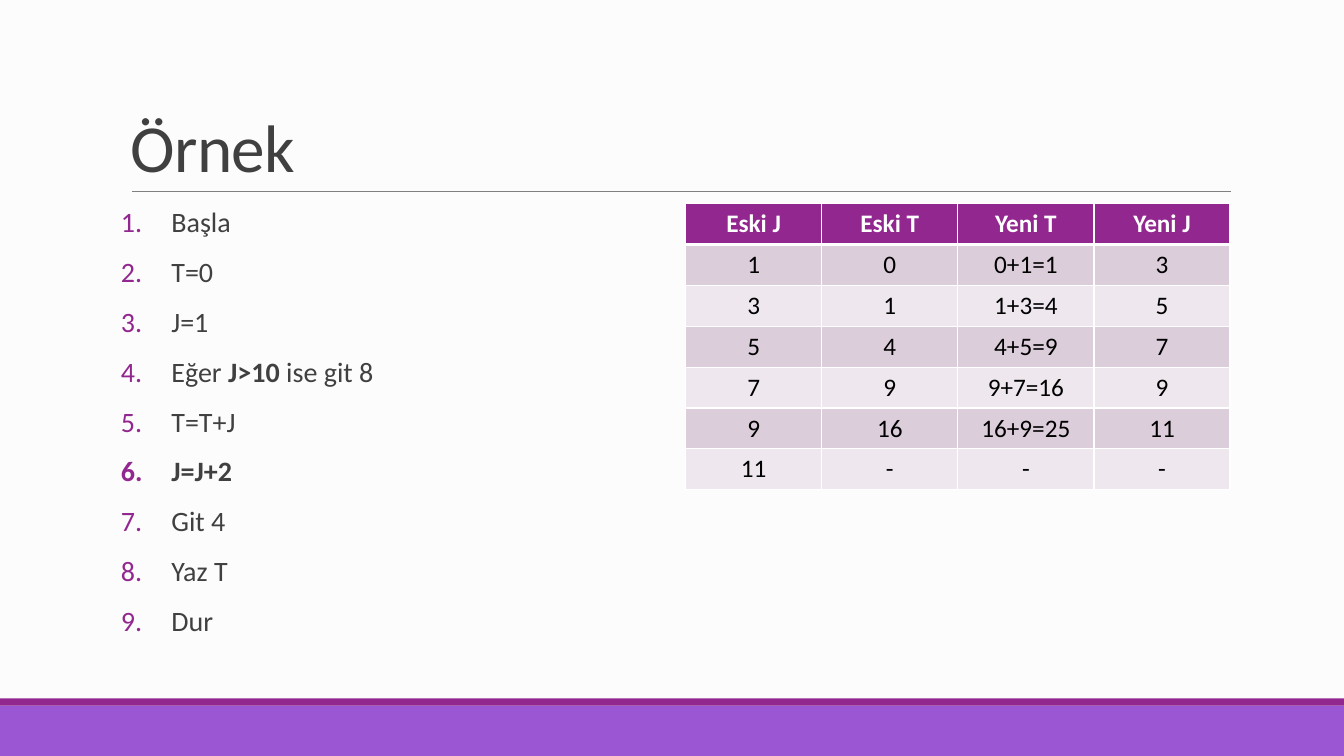
from dataclasses import dataclass

from lxml import etree
from pptx import Presentation, util as u
from pptx.dml.color import RGBColor
from pptx.enum import shapes, text
from pptx.oxml import ns


@dataclass(frozen=True)
class Theme:
    font: str = "Calibri"
    back: str = "FCFCFC"
    ink: str = "404040"
    rule: str = "808080"
    dark: str = "92278F"
    light: str = "9B57D3"
    white: str = "FFFFFF"
    black: str = "000000"
    bands: tuple = ("DCCDDB", "EEE8EE")
    title: int = 48
    body: int = 20
    cell: int = 18


def rgb(code):
    return RGBColor.from_string(code)


def sub(node, tag, **attrs):
    return etree.SubElement(node, ns.qn(tag), **attrs)


def tint(node, code):
    sub(node, "a:srgbClr", val=code)


class Deck:
    def __init__(self, theme):
        self.theme = theme
        self.prs = Presentation()
        self.prs.slide_width = u.Inches(13.33)
        self.prs.slide_height = u.Inches(7.5)
        self.slide = self.prs.slides.add_slide(self.prs.slide_layouts[6])
        fill = self.slide.background.fill
        fill.solid()
        fill.fore_color.rgb = rgb(theme.back)

    def bar(self, top, high, code):
        shape = self.slide.shapes.add_shape(
            shapes.MSO_SHAPE.RECTANGLE, 0, u.Inches(top),
            self.prs.slide_width, u.Inches(high))
        shape.shadow.inherit = False
        shape.fill.solid()
        shape.fill.fore_color.rgb = rgb(code)
        shape.line.fill.background()

    def line(self, left, right, top):
        line = self.slide.shapes.add_connector(
            shapes.MSO_CONNECTOR.STRAIGHT, u.Inches(left), u.Inches(top),
            u.Inches(right), u.Inches(top))
        line.line.color.rgb = rgb(self.theme.rule)
        line.line.width = u.Pt(0.5)
        sub(line._element.spPr, "a:effectLst")

    def run(self, para, words, size, code, bold=False):
        run = para.add_run()
        run.text = words
        font = run.font
        font.name, font.size, font.bold = self.theme.font, u.Pt(size), bold
        font.color.rgb = rgb(code)
        return run

    def frame(self, *box):
        frame = self.slide.shapes.add_textbox(*map(u.Inches, box)).text_frame
        frame.word_wrap = True
        return frame

    def title(self, words, *box):
        frame = self.frame(*box)
        frame.vertical_anchor = text.MSO_ANCHOR.BOTTOM
        para = frame.paragraphs[0]
        para.line_spacing = 0.85
        run = self.run(para, words, self.theme.title, self.theme.ink)
        run.font._element.set("spc", "-50")

    def steps(self, items, *box):
        frame = self.frame(*box)
        frame.margin_left = frame.margin_right = 0
        for i, parts in enumerate(items):
            para = frame.add_paragraph() if i else frame.paragraphs[0]
            para.line_spacing = 0.9
            para.space_before, para.space_after = u.Pt(12), u.Pt(2)
            # Hanging number
            props = para._p.get_or_add_pPr()
            dent = u.Inches(0.5)
            props.set("marL", str(dent))
            props.set("indent", str(-dent))
            tint(sub(props, "a:buClr"), self.theme.dark)
            sub(props, "a:buAutoNum", type="arabicPeriod")
            for words, bold in parts:
                self.run(para, words, self.theme.body, self.theme.ink, bold)

    def edges(self, cell, top, low):
        props = cell._tc.get_or_add_tcPr()
        for side, wide in zip("LRTB", (1, 1, top, low)):
            edge = sub(props, f"a:ln{side}", w=str(u.Pt(wide)))
            tint(sub(edge, "a:solidFill"), self.theme.white)

    def table(self, rows, *box):
        theme = self.theme
        table = self.slide.shapes.add_table(
            len(rows), len(rows[0]), *map(u.Inches, box)).table
        for r, row in enumerate(rows):
            head = r == 0
            back = theme.dark if head else theme.bands[(r - 1) % 2]
            for c, words in enumerate(row):
                cell = table.cell(r, c)
                self.edges(cell, 3 if r == 1 else 1, 3 if head else 1)
                cell.fill.solid()
                cell.fill.fore_color.rgb = rgb(back)
                cell.vertical_anchor = text.MSO_ANCHOR.MIDDLE
                para = cell.text_frame.paragraphs[0]
                para.alignment = text.PP_ALIGN.CENTER
                self.run(para, words, theme.cell,
                         theme.white if head else theme.black, head)


STEPS = [
    [("Başla", False)],
    [("T=0", False)],
    [("J=1", False)],
    [("Eğer ", False), ("J>10", True), (" ise git 8", False)],
    [("T=T+J", False)],
    [("J=J+2", True)],
    [("Git 4", False)],
    [("Yaz T", False)],
    [("Dur", False)],
]

TRACE = [
    ("Eski J", "Eski T", "Yeni T", "Yeni J"),
    ("1", "0", "0+1=1", "3"),
    ("3", "1", "1+3=4", "5"),
    ("5", "4", "4+5=9", "7"),
    ("7", "9", "9+7=16", "9"),
    ("9", "16", "16+9=25", "11"),
    ("11", "-", "-", "-"),
]


def main():
    theme = Theme()
    deck = Deck(theme)
    # Footer bands and title rule
    deck.bar(7, 0.5, theme.light)
    deck.bar(6.93, 0.07, theme.dark)
    deck.line(1.31, 12.21, 1.9)
    # Title
    deck.title("Örnek", 1.2, 0.31, 11, 1.59)
    # Algorithm and its trace
    deck.steps(STEPS, 1.2, 2.02, 5.4, 4.4)
    deck.table(TRACE, 6.8, 2.02, 5.4, 2.84)
    deck.prs.save("out.pptx")


if __name__ == "__main__":
    main()
